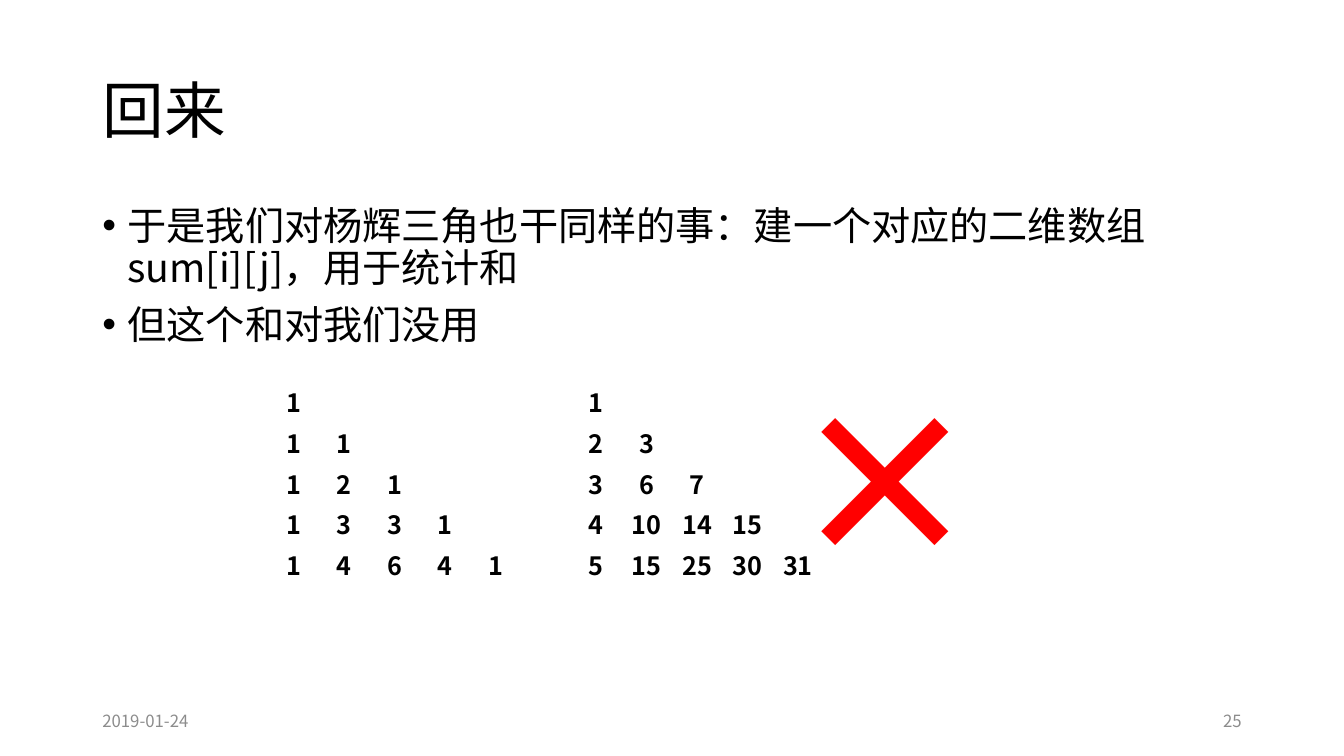
from lxml import etree
from pptx import Presentation
from pptx.dml.color import RGBColor
from pptx.enum import text
from pptx.oxml import ns
from pptx.util import Pt

FONT = "Noto Sans CJK SC"
COLORS = {"ink": "000000", "footer": "8C8C8C", "cross": "FF0000"}
LEFT, MIDDLE, RIGHT = text.PP_ALIGN.LEFT, text.PP_ALIGN.CENTER, text.PP_ALIGN.RIGHT

TRIANGLE = [[1], [1, 1], [1, 2, 1], [1, 3, 3, 1], [1, 4, 6, 4, 1]]
SUMS = [[1], [2, 3], [3, 6, 7], [4, 10, 14, 15], [5, 15, 25, 30, 31]]


def add_run(p, words, size, color="ink", bold=False):
    r = p.add_run()
    r.text = words
    r.font.size = Pt(size)
    r.font.bold = bold
    r.font.name = FONT
    r.font.color.rgb = RGBColor.from_string(COLORS[color])
    east_asian = etree.SubElement(r._r.get_or_add_rPr(), ns.qn("a:ea"))
    east_asian.set("typeface", FONT)


def place(sp, left, top, width, height):
    sp.left, sp.top, sp.width, sp.height = Pt(left), Pt(top), Pt(width), Pt(height)


def fill_title(sp, words):
    place(sp, 66, 28.8, 828, 104.4)
    tf = sp.text_frame
    tf.auto_size = text.MSO_AUTO_SIZE.NONE
    tf.vertical_anchor = text.MSO_ANCHOR.MIDDLE
    p = tf.paragraphs[0]
    p.alignment = LEFT
    p.line_spacing = 0.9
    add_run(p, words, 44)


def fill_bullets(sp, items):
    place(sp, 66, 144, 828, 342.7)
    tf = sp.text_frame
    tf.auto_size = text.MSO_AUTO_SIZE.NONE
    for i, item in enumerate(items):
        p = tf.add_paragraph() if i else tf.paragraphs[0]
        p.line_spacing = 0.9
        p.space_before = Pt(10)
        pPr = p._p.get_or_add_pPr()
        pPr.set("marL", str(Pt(18)))
        pPr.set("indent", str(-Pt(18)))
        etree.SubElement(pPr, ns.qn("a:buFont")).set("typeface", "Arial")
        etree.SubElement(pPr, ns.qn("a:buChar")).set("char", "•")
        add_run(p, item, 28)


def add_label(s, box, words, size, color, align=LEFT, bold=False, wrap=True):
    tf = s.shapes.add_textbox(*map(Pt, box)).text_frame
    tf.word_wrap = wrap
    tf.vertical_anchor = text.MSO_ANCHOR.MIDDLE if wrap else text.MSO_ANCHOR.TOP
    p = tf.paragraphs[0]
    p.alignment = align
    add_run(p, words, size, color, bold)


def add_number_table(s, left, rows):
    n, col, row = len(rows), 36, 29.2
    table = s.shapes.add_table(n, n, Pt(left), Pt(270), Pt(n * col), Pt(n * row)).table
    table.first_row = table.horz_banding = False
    for cell in table.iter_cells():
        cell.fill.background()
    for i, numbers in enumerate(rows):
        for j, number in enumerate(numbers):
            p = table.cell(i, j).text_frame.paragraphs[0]
            p.alignment = MIDDLE
            add_run(p, str(number), 18, bold=True)


def main():
    prs = Presentation()
    prs.slide_width, prs.slide_height = Pt(960), Pt(540)
    s = prs.slides.add_slide(prs.slide_layouts[1])

    # Title and bullets
    fill_title(s.shapes.title, "回来")
    fill_bullets(s.placeholders[1], [
        "于是我们对杨辉三角也干同样的事：建一个对应的二维数组sum[i][j]，用于统计和",
        "但这个和对我们没用",
    ])

    # Date and slide number
    add_label(s, (66, 500.5, 216, 28.75), "2019-01-24", 12, "footer")
    add_label(s, (678, 500.5, 216, 28.75), "25", 12, "footer", RIGHT)

    # Triangle, its prefix sums and the cross
    add_number_table(s, 192, TRIANGLE)
    add_number_table(s, 408, SUMS)
    add_label(s, (556, 255.6, 111.6, 174.2), "×", 138, "cross", bold=True, wrap=False)

    prs.save("out.pptx")


if __name__ == "__main__":
    main()
